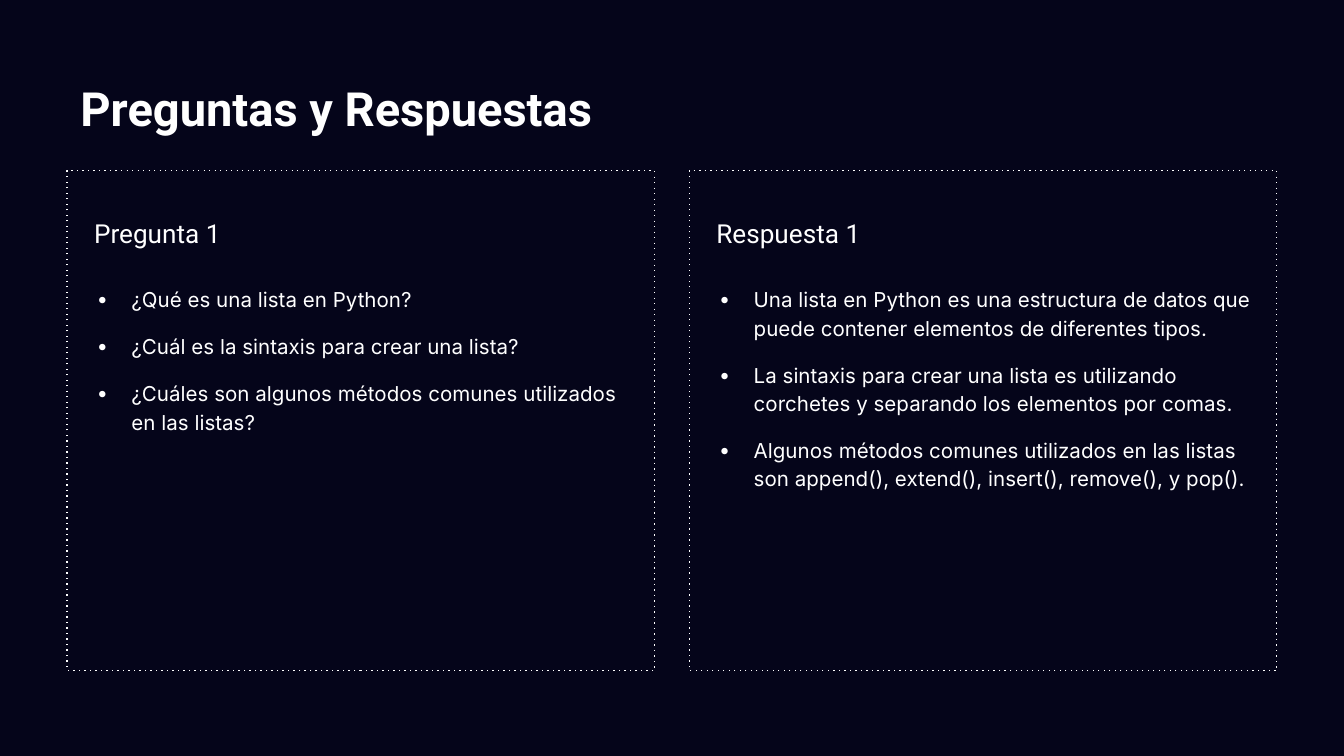
"""Build the question-and-answer slide with two dotted panels."""
from lxml import etree
from pptx import Presentation
from pptx.dml.color import RGBColor
from pptx.enum.shapes import MSO_SHAPE
from pptx.enum.text import MSO_ANCHOR
from pptx.oxml.ns import qn
from pptx.util import Inches, Pt

RECTANGLE = MSO_SHAPE.RECTANGLE
TOP, MIDDLE, BOTTOM = MSO_ANCHOR.TOP, MSO_ANCHOR.MIDDLE, MSO_ANCHOR.BOTTOM

TITLE = "Preguntas y Respuestas"
PANELS = [
    ("Pregunta 1", [
        "¿Qué es una lista en Python?",
        "¿Cuál es la sintaxis para crear una lista?",
        "¿Cuáles son algunos métodos comunes utilizados en las listas?",
    ]),
    ("Respuesta 1", [
        "Una lista en Python es una estructura de datos que puede contener elementos de diferentes tipos.",
        "La sintaxis para crear una lista es utilizando corchetes y separando los elementos por comas.",
        "Algunos métodos comunes utilizados en las listas son append(), extend(), insert(), remove(), y pop().",
    ]),
]
COLORS = {"background": "05051A", "foreground": "FFFFFF"}
FONTS = {
    "title": {"name": "Roboto", "size": Pt(25.2), "bold": True},
    "heading": {"name": "Roboto", "size": Pt(14)},
    "body": {"name": "Inter", "size": Pt(11)},
}
SPACE_AFTER = {"title": 0, "heading": 12, "body": 10}
SLIDE_WIDTH = 10
SLIDE_HEIGHT = SLIDE_WIDTH * 9 / 16
MARGIN, GAP = 0.5, 0.26
PANEL_TOP, PANEL_HEIGHT = 1.27, 3.72
PANEL_WIDTH = (SLIDE_WIDTH - 2 * MARGIN - GAP) / 2
HEADING_HEIGHT = 0.68
BODY_TOP, BODY_HEIGHT = 2.01, 2.99
INDENT, HANGING = 0.38, 0.26


def color(key):
    return RGBColor.from_string(COLORS[key])


def set_values(target, values):
    for name, value in values.items():
        setattr(target, name, value)


def add_bullet(paragraph):
    properties = paragraph._p.get_or_add_pPr()
    properties.set("marL", str(Inches(INDENT)))
    properties.set("indent", str(-Inches(HANGING)))
    bullet_color = etree.SubElement(properties, qn("a:buClr"))
    etree.SubElement(bullet_color, qn("a:srgbClr"), val=COLORS["foreground"])
    etree.SubElement(properties, qn("a:buFont"), typeface=FONTS["body"]["name"])
    etree.SubElement(properties, qn("a:buChar"), char="•")


def add_text(slide, box, texts, style, anchor, left=0.1, right=0.1, bullets=False):
    frame = slide.shapes.add_textbox(*map(Inches, box)).text_frame
    set_values(frame, {
        "word_wrap": True, "vertical_anchor": anchor,
        "margin_left": Inches(left), "margin_right": Inches(right),
        "margin_top": Inches(0.1), "margin_bottom": Inches(0.1),
    })
    for index, text in enumerate(texts):
        paragraph = frame.paragraphs[0] if index == 0 else frame.add_paragraph()
        if bullets:
            add_bullet(paragraph)
            paragraph.line_spacing = 1.15
            if index:
                paragraph.space_before = Pt(10)
        run = paragraph.add_run()
        run.text = text
        set_values(run.font, FONTS[style])
        run.font.color.rgb = color("foreground")
    paragraph.space_after = Pt(SPACE_AFTER[style])


def add_panel(slide, box):
    shape = slide.shapes.add_shape(RECTANGLE, *map(Inches, box))
    shape.shadow.inherit = False
    shape.fill.background()
    shape.line.color.rgb = color("foreground")
    shape.line.width = Pt(0.75)
    outline = shape._element.spPr.find(qn("a:ln"))
    etree.SubElement(outline, qn("a:prstDash"), val="dot")


def main():
    presentation = Presentation()
    presentation.slide_width = Inches(SLIDE_WIDTH)
    presentation.slide_height = Inches(SLIDE_HEIGHT)
    slide = presentation.slides.add_slide(presentation.slide_layouts[6])
    slide.background.fill.solid()
    slide.background.fill.fore_color.rgb = color("background")

    title_box = (MARGIN, 0.49, SLIDE_WIDTH - 2 * MARGIN, 0.63)
    add_text(slide, title_box, [TITLE], "title", MIDDLE)
    for column, (heading, items) in enumerate(PANELS):
        left = MARGIN + column * (PANEL_WIDTH + GAP)
        add_panel(slide, (left, PANEL_TOP, PANEL_WIDTH, PANEL_HEIGHT))
        add_text(slide, (left, BODY_TOP, PANEL_WIDTH, BODY_HEIGHT), items, "body", TOP, bullets=True)
        add_text(slide, (left, PANEL_TOP, PANEL_WIDTH, HEADING_HEIGHT), [heading], "heading", BOTTOM,
                 left=0.2, right=0.15)
    presentation.save("out.pptx")


if __name__ == "__main__":
    main()
